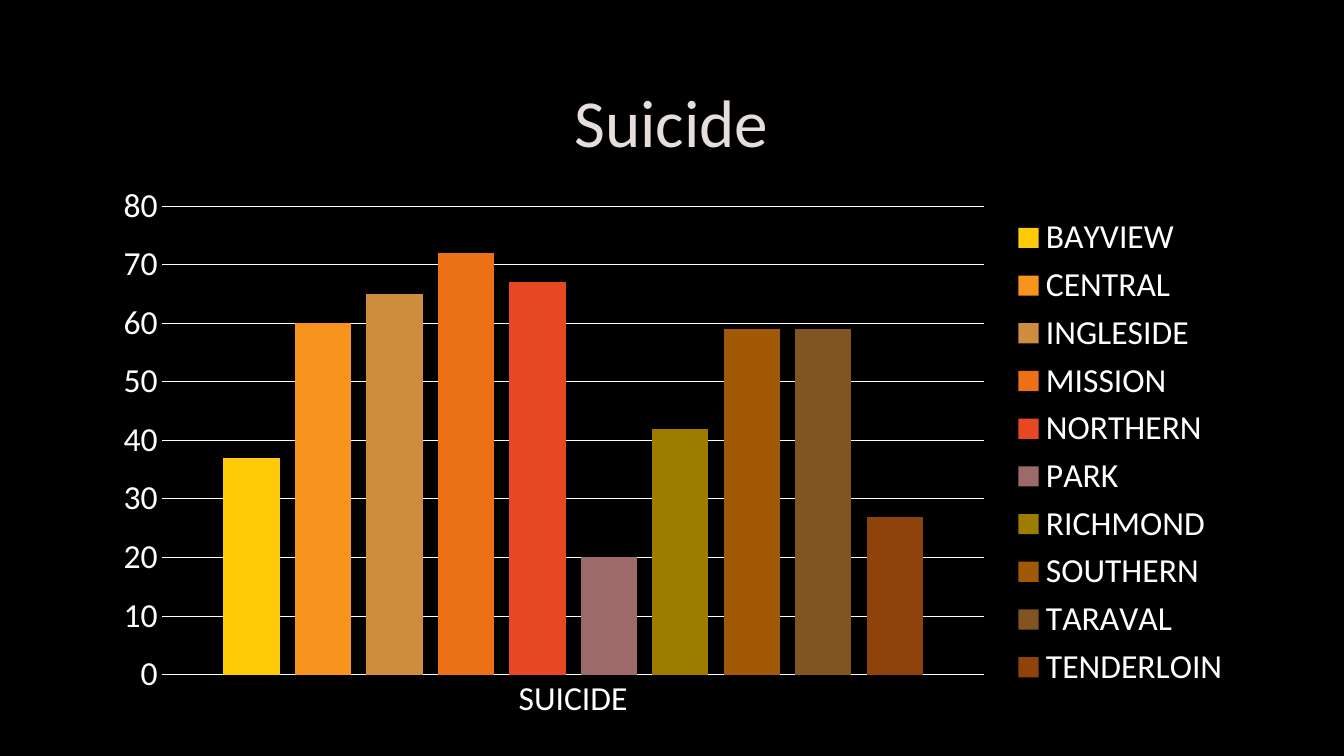
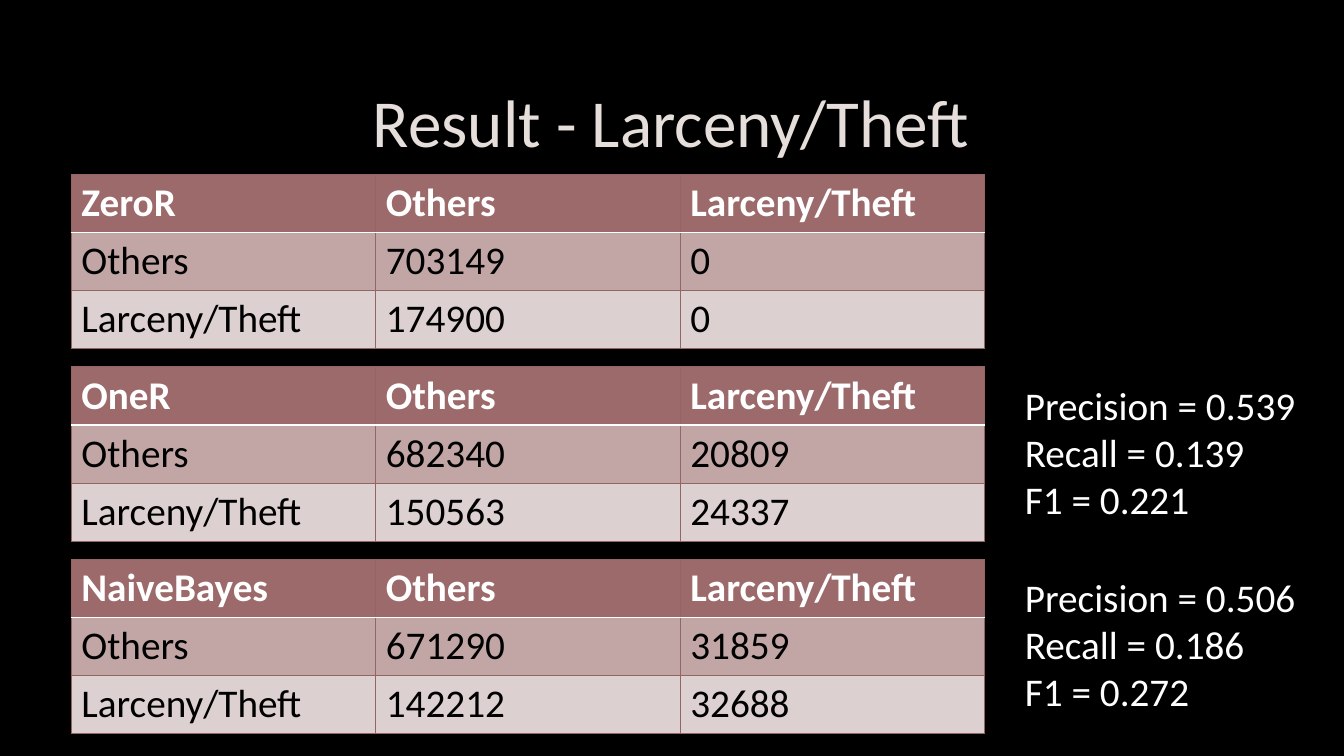
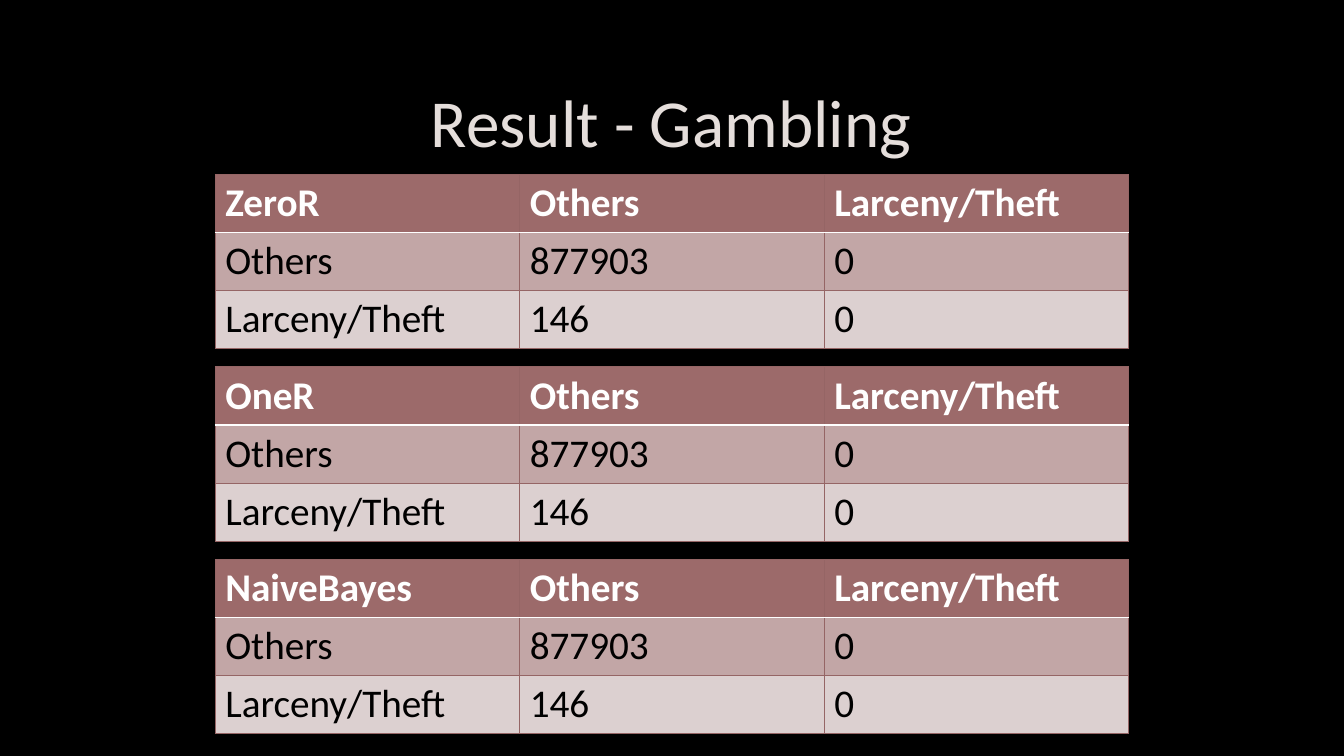
import lxml.etree
import pptx
import pptx.chart.data
import pptx.dml.color
import pptx.enum.chart
import pptx.enum.text
import pptx.oxml.ns
import pptx.util

Pt = pptx.util.Pt
FONT = "Calibri"
COLORS = {
    "background": "000000",
    "title": "E5DEDB",
    "light": "FFFFFF",
    "dark": "000000",
    "header": "9C6A6A",
    "band": "C2A6A6",
    "plain": "DCD0D0",
    "border": "956565",
}
SLIDE_WIDTH, SLIDE_HEIGHT = 960, 540
CONTENT_TOP = 124.6
COLUMN_WIDTH, ROW_HEIGHT, TABLE_PITCH = 217.5, 41.4, 137.5

DISTRICTS = [
    ("BAYVIEW", 37, "FFCA08"),
    ("CENTRAL", 60, "F8931D"),
    ("INGLESIDE", 65, "CE8D3E"),
    ("MISSION", 72, "EC7016"),
    ("NORTHERN", 67, "E64823"),
    ("PARK", 20, "9C6A6A"),
    ("RICHMOND", 42, "9E7C00"),
    ("SOUTHERN", 59, "A15905"),
    ("TARAVAL", 59, "805521"),
    ("TENDERLOIN", 27, "8F430C"),
]

# Each result: classifier, counts for Others, counts for the crime, scores
RESULT_PAGES = [
    ("Result - Larceny/Theft", 51, [
        ("ZeroR", (703149, 0), (174900, 0), []),
        ("OneR", (682340, 20809), (150563, 24337),
         ["Precision = 0.539", "Recall = 0.139", "F1 = 0.221"]),
        ("NaiveBayes", (671290, 31859), (142212, 32688),
         ["Precision = 0.506", "Recall = 0.186", "F1 = 0.272"]),
    ]),
    ("Result - Gambling", (SLIDE_WIDTH - 3 * COLUMN_WIDTH) / 2, [
        (name, (877903, 0), (146, 0), [])
        for name in ("ZeroR", "OneR", "NaiveBayes")
    ]),
]


def style_font(font, size, color, bold=False):
    font.name = FONT
    font.size = Pt(size)
    font.bold = bold
    font.color.rgb = pptx.dml.color.RGBColor.from_string(COLORS[color])


def set_borders(cell, row):
    """Draw thin borders, with a heavier white rule below the header row."""
    white_side = {0: "lnB", 1: "lnT"}.get(row)
    properties = cell._tc.get_or_add_tcPr()
    for position, side in enumerate(("lnL", "lnR", "lnT", "lnB")):
        color, width = ("light", 1.25) if side == white_side else ("border", 0.75)
        line = lxml.etree.Element(pptx.oxml.ns.qn("a:" + side), w=str(Pt(width)))
        fill = lxml.etree.SubElement(line, pptx.oxml.ns.qn("a:solidFill"))
        lxml.etree.SubElement(fill, pptx.oxml.ns.qn("a:srgbClr"), val=COLORS[color])
        properties.insert(position, line)


deck = pptx.Presentation()
deck.slide_width, deck.slide_height = Pt(SLIDE_WIDTH), Pt(SLIDE_HEIGHT)
background = deck.slide_master.background.fill
background.solid()
background.fore_color.rgb = pptx.dml.color.RGBColor.from_string(COLORS["background"])

layout = deck.slide_layouts.get_by_name("Title Only")
layout_title = layout.placeholders[0]
layout_title.left, layout_title.top = Pt(72), Pt(48)
layout_title.width, layout_title.height = Pt(815), Pt(76.6)

# Titles
pages = []
for heading in ["Suicide"] + [result[0] for result in RESULT_PAGES]:
    page = deck.slides.add_slide(layout)
    title = page.shapes.title
    title.text_frame.text = heading
    title.text_frame.vertical_anchor = pptx.enum.text.MSO_ANCHOR.MIDDLE
    para = title.text_frame.paragraphs[0]
    para.alignment = pptx.enum.text.PP_ALIGN.CENTER
    style_font(para.font, 48, "title")
    pages.append(page)

# District chart
chart_data = pptx.chart.data.CategoryChartData()
chart_data.categories = ["SUICIDE"]
for district, count, color in DISTRICTS:
    chart_data.add_series(district, [count])
chart = pages[0].shapes.add_chart(
    pptx.enum.chart.XL_CHART_TYPE.COLUMN_CLUSTERED,
    Pt(72), Pt(CONTENT_TOP), Pt(815), Pt(397.4), chart_data).chart
style_font(chart.font, 24, "light")
chart.has_title = False
chart.has_legend = True
chart.legend.position = pptx.enum.chart.XL_LEGEND_POSITION.RIGHT
chart.legend.include_in_layout = False
style_font(chart.legend.font, 24, "light")

plot = chart.plots[0]
plot.gap_width, plot.overlap = 219, -27
plot.vary_by_categories = False
for series, (district, count, color) in zip(plot.series, DISTRICTS):
    series.format.fill.solid()
    series.format.fill.fore_color.rgb = pptx.dml.color.RGBColor.from_string(color)

value_axis, category_axis = chart.value_axis, chart.category_axis
value_axis.minimum_scale, value_axis.maximum_scale = 0, 80
value_axis.major_unit = 10
for axis in (value_axis, category_axis):
    axis.major_tick_mark = pptx.enum.chart.XL_TICK_MARK.NONE
    style_font(axis.tick_labels.font, 24, "light")
value_axis.format.line.fill.background()
for line in (value_axis.major_gridlines.format.line, category_axis.format.line):
    line.width = Pt(0.75)
    line.color.rgb = pptx.dml.color.RGBColor.from_string(COLORS["light"])

# Confusion matrices with their scores
for page, (heading, left, results) in zip(pages[1:], RESULT_PAGES):
    for index, (classifier, others, crime, scores) in enumerate(results):
        top = CONTENT_TOP + index * TABLE_PITCH
        rows = [(classifier, "Others", "Larceny/Theft"),
                ("Others", *others), ("Larceny/Theft", *crime)]
        table = page.shapes.add_table(
            3, 3, Pt(left), Pt(top), Pt(3 * COLUMN_WIDTH), Pt(3 * ROW_HEIGHT)).table
        for row, values in enumerate(rows):
            for column, value in enumerate(values):
                cell = table.cell(row, column)
                cell.text = str(value)
                style_font(cell.text_frame.paragraphs[0].font, 28,
                           "dark" if row else "light", bold=row == 0)
                cell.fill.solid()
                cell.fill.fore_color.rgb = pptx.dml.color.RGBColor.from_string(
                    COLORS[("header", "band", "plain")[row]])
                set_borders(cell, row)
        if scores:
            box = page.shapes.add_textbox(Pt(725), Pt(top + 6.5), Pt(214.5), Pt(109))
            box.text_frame.word_wrap = True
            box.text_frame.text = "\n".join(scores)
            for para in box.text_frame.paragraphs:
                style_font(para.font, 28, "light")

deck.save("out.pptx")
